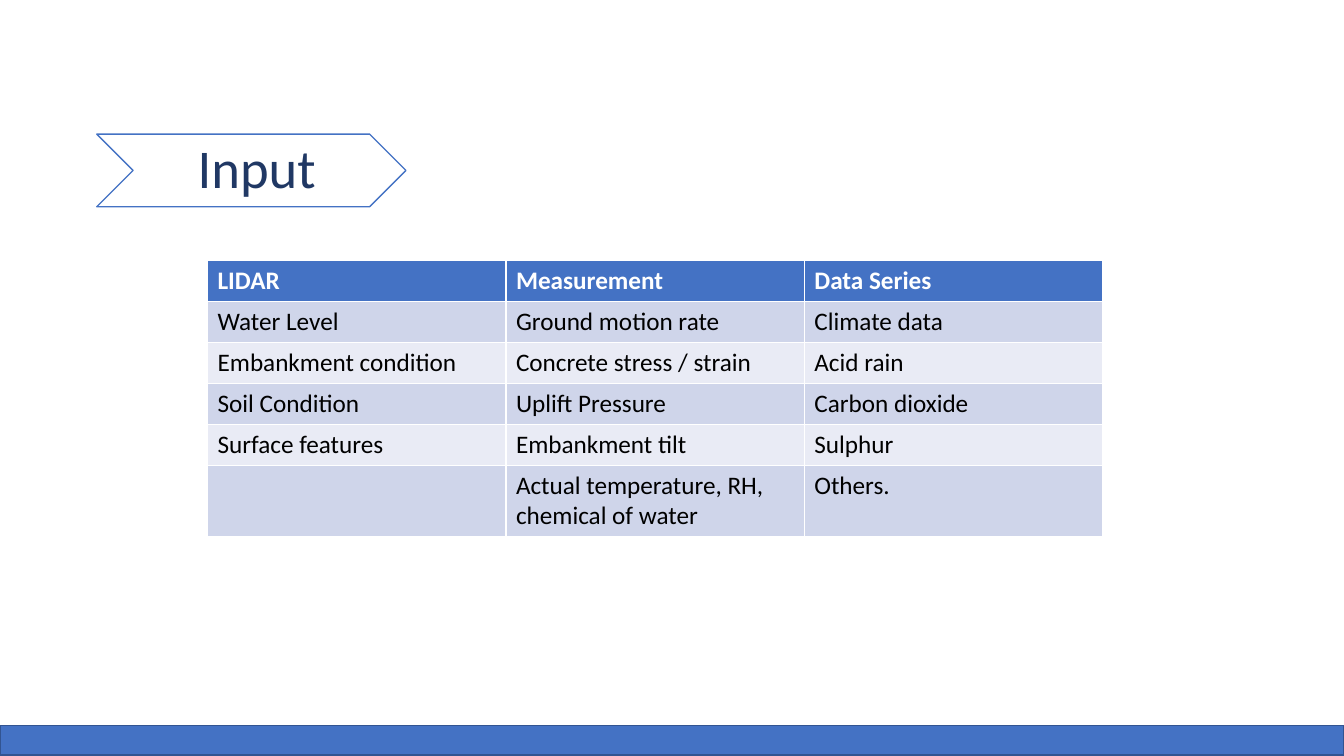
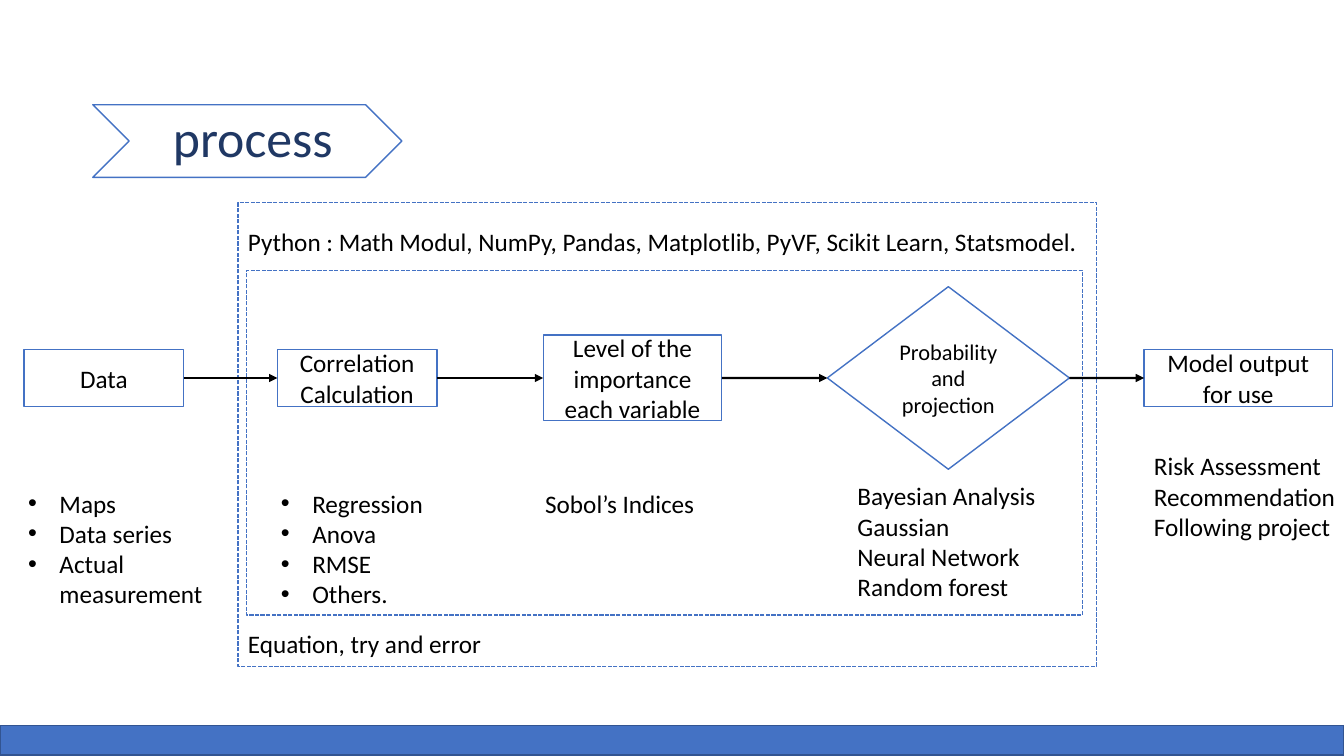
from lxml.etree import SubElement
from pptx import Presentation
from pptx.dml.color import RGBColor
from pptx.enum.dml import MSO_LINE
from pptx.enum.shapes import MSO_CONNECTOR, MSO_SHAPE
from pptx.enum.text import MSO_ANCHOR as Anchor, PP_ALIGN as Align
from pptx.oxml.ns import qn
from pptx.util import Cm, Pt


def rgb(value):
    return RGBColor.from_string(value)


class Deck:
    FONT = "Calibri"
    BLUE, EDGE, NAVY = "4472C4", "325491", "203864"
    WHITE, BLACK = "FFFFFF", "000000"
    BANDS = ("E9EBF5", "CFD5EA")
    WIDTH, HEIGHT = 33.87, 19.05
    AXIS = HEIGHT / 2

    def __init__(self):
        self.prs = Presentation()
        self.prs.slide_width = Cm(self.WIDTH)
        self.prs.slide_height = Cm(self.HEIGHT)
        self.shapes = None

    def new_slide(self, title, left, top, size):
        self.shapes = self.prs.slides.add_slide(self.prs.slide_layouts[6]).shapes
        self.box(MSO_SHAPE.RECTANGLE, 0, 18.29, self.WIDTH, 0.74, self.BLUE, self.EDGE)
        banner = self.box(MSO_SHAPE.CHEVRON, left, top, 7.79, 1.83, self.WHITE)
        frame = banner.text_frame
        self.set_text(frame, title, size, self.NAVY, Align.CENTER)
        frame.margin_left, frame.margin_right = Cm(0.42), Cm(0.15)
        frame.margin_top = frame.margin_bottom = Cm(0.15)
        frame.paragraphs[0].line_spacing = 0.9

    def set_text(self, frame, text, size=18, color=BLACK, align=Align.LEFT, bold=False):
        frame.text = text
        frame.word_wrap = True
        for paragraph in frame.paragraphs:
            paragraph.alignment = align
            for run in paragraph.runs:
                run.font.name = self.FONT
                run.font.size = Pt(size)
                run.font.bold = bold
                run.font.color.rgb = rgb(color)

    def box(self, kind, left, top, width, height, fill=None, line=BLUE):
        shape = self.shapes.add_shape(kind, Cm(left), Cm(top), Cm(width), Cm(height))
        shape.shadow.inherit = False
        if fill:
            shape.fill.solid()
            shape.fill.fore_color.rgb = rgb(fill)
        else:
            shape.fill.background()
        shape.line.color.rgb = rgb(line)
        shape.line.width = Pt(1)
        shape.text_frame.vertical_anchor = Anchor.MIDDLE
        return shape

    def dashed_frame(self, left, top, width, height):
        frame = self.box(MSO_SHAPE.RECTANGLE, left, top, width, height)
        frame.line.dash_style = MSO_LINE.SQUARE_DOT

    def step(self, text, left, width, height, kind=MSO_SHAPE.RECTANGLE, size=18):
        shape = self.box(kind, left, self.AXIS - height / 2, width, height, self.WHITE)
        self.set_text(shape.text_frame, text, size, align=Align.CENTER)
        return shape

    def arrow(self, source, target):
        link = self.shapes.add_connector(MSO_CONNECTOR.STRAIGHT, 0, 0, 0, 0)
        link.begin_connect(source, 3)
        link.end_connect(target, 1)
        link.line.color.rgb = rgb(self.BLACK)
        link.line.width = Pt(1.5)
        props = link._element.spPr
        SubElement(props.find(qn("a:ln")), qn("a:tailEnd"), type="triangle")
        SubElement(props, qn("a:effectLst"))

    def note(self, lines, left, top, width, height=1.02, bullets=False):
        area = self.shapes.add_textbox(Cm(left), Cm(top), Cm(width), Cm(height))
        self.set_text(area.text_frame, "\n".join(lines))
        if bullets:
            for paragraph in area.text_frame.paragraphs:
                props = paragraph._p.get_or_add_pPr()
                props.set("marL", str(Cm(0.79)))
                props.set("indent", str(-Cm(0.79)))
                SubElement(props, qn("a:buFont"), typeface="Arial")
                SubElement(props, qn("a:buChar"), char="•")

    def table(self, rows, left, top, column_width, row_height):
        count = len(rows[0])
        grid = self.shapes.add_table(
            len(rows), count, Cm(left), Cm(top),
            Cm(column_width * count), Cm(row_height * len(rows))).table
        for r, row in enumerate(rows):
            header = r == 0
            for c, text in enumerate(row):
                cell = grid.cell(r, c)
                cell.fill.solid()
                cell.fill.fore_color.rgb = rgb(self.BLUE if header else self.BANDS[r % 2])
                self.set_text(cell.text_frame, text, bold=header,
                              color=self.WHITE if header else self.BLACK)


def input_slide(deck):
    deck.new_slide("Input", 2.44, 3.38, 39)
    deck.table([
        ("LIDAR", "Measurement", "Data Series"),
        ("Water Level", "Ground motion rate", "Climate data"),
        ("Embankment condition", "Concrete stress / strain", "Acid rain"),
        ("Soil Condition", "Uplift Pressure", "Carbon dioxide"),
        ("Surface features", "Embankment tilt", "Sulphur"),
        ("", "Actual temperature, RH, chemical of water", "Others."),
    ], 5.23, 6.57, 7.52, 1.03)


def process_slide(deck):
    deck.new_slide("process", 2.34, 2.64, 37)
    deck.dashed_frame(6, 5.11, 21.64, 11.68)
    deck.dashed_frame(6.22, 6.81, 21.06, 8.69)
    steps = [
        deck.step("Data", 0.61, 4.02, 1.43),
        deck.step("Correlation Calculation", 6.99, 4.02, 1.43),
        deck.step("Level of the importance each variable", 13.69, 4.5, 2.16),
        deck.step("Probability and projection", 20.85, 6.1, 4.6, MSO_SHAPE.DIAMOND, 16),
        deck.step("Model output for use", 28.83, 4.75, 1.43),
    ]
    for source, target in zip(steps, steps[1:]):
        deck.arrow(source, target)
    deck.note(["Python : Math Modul, NumPy, Pandas, Matplotlib, PyVF, "
               "Scikit Learn, Statsmodel."], 6, 5.59, 21.64)
    deck.note(["Equation, try and error"], 6, 15.72, 7.67)
    deck.note(["Maps", "Data series", "Actual measurement"], 0.46, 12.17, 5.18, 3.33, True)
    deck.note(["Regression", "Anova", "RMSE", "Others."], 6.83, 12.17, 4.5, 3.33, True)
    deck.note(["Sobol’s Indices"], 13.49, 12.17, 4.5)
    deck.note(["Bayesian Analysis", "Gaussian", "Neural Network", "Random forest"],
              21.36, 11.99, 5.08, 3.33)
    deck.note(["Risk Assessment", "Recommendation", "Following project"],
              28.83, 11.23, 5.08, 2.57)


def main():
    deck = Deck()
    input_slide(deck)
    process_slide(deck)
    deck.prs.save("out.pptx")


if __name__ == "__main__":
    main()
